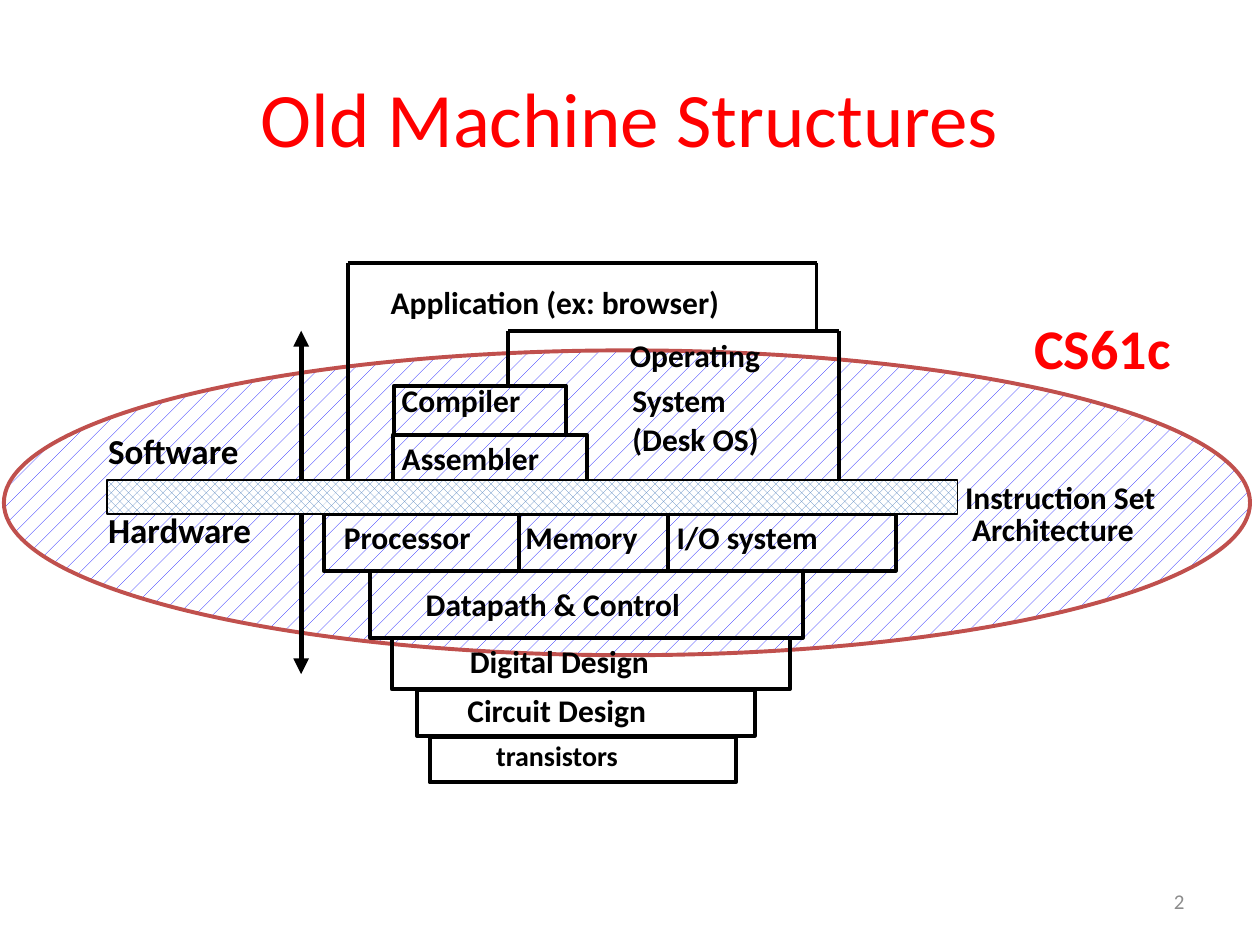
from dataclasses import dataclass

from lxml.etree import SubElement
from pptx import Presentation
from pptx.dml.color import RGBColor
from pptx.enum.dml import MSO_PATTERN as Pattern
from pptx.enum.shapes import MSO_CONNECTOR as Connector, MSO_SHAPE as Shape
from pptx.enum.text import MSO_ANCHOR as Anchor, MSO_AUTO_SIZE as AutoSize, PP_ALIGN as Align
from pptx.oxml.ns import qn
from pptx.util import Pt


@dataclass(frozen=True)
class Theme:
    font: str = "Calibri"
    black: RGBColor = RGBColor(0, 0, 0)
    white: RGBColor = RGBColor(255, 255, 255)
    red: RGBColor = RGBColor(255, 0, 0)
    gray: RGBColor = RGBColor(0x8C, 0x8C, 0x8C)
    blue: RGBColor = RGBColor(0, 0, 255)
    steel: RGBColor = RGBColor(0x4F, 0x81, 0xBD)
    brick: RGBColor = RGBColor(0xC0, 0x50, 0x4D)
    title: int = 44
    course: int = 32
    side: int = 20
    label: int = 18
    small: int = 16
    number: int = 12
    line: float = 2.25
    arrow: float = 3


THEME = Theme()
WIDE_INSET = (7.2, 3.6)
TIGHT_INSET = (5, 2)

# Levels where the layers of the machine meet, in points
APP_TOP, OS_TOP = 150.5, 189
ISA_TOP, ISA_BOTTOM = 274.3, 293.8
UNITS_BOTTOM = 326.2
ARROW_X, ARROW_END = 172.1, 385.2

# Layer boxes: left, top, width, height
BOXES = [
    (225.4, 220.3, 97.9, 28.1),             # compiler
    (224.6, 248.4, 110.9, 28.1),            # assembler
    (185, ISA_BOTTOM, 326.9, 32.4),         # processor, memory, I/O
    (211.7, UNITS_BOTTOM, 247, 38.2),       # datapath
    (223.9, 364.3, 227.5, 29.5),            # digital design
    (238.3, 394.6, 193, 25.9),              # circuit design
    (245.5, 421.2, 175, 25.9),              # transistors
]

# Open outlines and dividers, each a chain of points
OUTLINES = [
    [(198.7, ISA_TOP), (198.7, APP_TOP), (466.6, APP_TOP), (466.6, OS_TOP)],
    [(290.2, 220.3), (290.2, OS_TOP), (479.5, OS_TOP), (479.5, 280)],
    [(296.6, ISA_BOTTOM), (296.6, UNITS_BOTTOM)],
    [(381.6, ISA_BOTTOM), (381.6, UNITS_BOTTOM)],
]

# Tight layer labels: text, left, top, width, height, line spacing
LABELS = [
    ("Application (ex: browser)", 218.2, 159.1, 246.2, 26, 1.02),
    ("Operating", 355, 189.4, 103.7, 26, 1.02),
    ("System\n(Desk OS)", 356.4, 215.3, 108.7, 48.2, 1.02),
    ("Compiler", 224.6, 215.3, 95.8, 26, 1.02),
    ("Assembler", 224.6, 248.4, 117.4, 26, 1.02),
    ("Processor", 191.5, ISA_BOTTOM, 106.6, 26, 1.02),
    ("Memory", 295.2, ISA_BOTTOM, 85.7, 26, 1.02),
    ("I/O system", 381.6, ISA_BOTTOM, 106.6, 26, 1.02),
    ("Digital Design", 263.5, 364.3, 141.8, 26, 1.02),
    ("Circuit Design", 262.1, 392.4, 144, 26, 1.02),
    ("Instruction Set\nArchitecture", 546.5, ISA_TOP, 148.3, 41.8, 0.85),
]

# Labels with wide insets: text, left, top, width, height, size, colour
WIDE_LABELS = [
    ("CS61c", 583.9, 175.7, 130.3, 46.1, THEME.course, THEME.red),
    ("Software", 54.7, 241.9, 108, 31.7, THEME.side, THEME.black),
    ("Hardware", 54.7, 287.3, 115.2, 31.7, THEME.side, THEME.black),
    ("Datapath & Control", 236.2, 330.5, 199.4, 28.8, THEME.label, THEME.black),
    ("transistors", 276.5, 418.3, 110.9, 26.6, THEME.small, THEME.black),
]


def format_text(text_frame, size, color, bold=False, align=Align.LEFT, spacing=None):
    for paragraph in text_frame.paragraphs:
        paragraph.alignment = align
        if spacing:
            paragraph.line_spacing = spacing
        for run in paragraph.runs:
            run.font.name = THEME.font
            run.font.size = Pt(size)
            run.font.bold = bold
            run.font.color.rgb = color


def add_label(slide, text, bounds, size, color, inset=WIDE_INSET, spacing=None):
    shape = slide.shapes.add_textbox(*map(Pt, bounds))
    text_frame = shape.text_frame
    text_frame.word_wrap = True
    text_frame.auto_size = AutoSize.SHAPE_TO_FIT_TEXT
    text_frame.margin_left = text_frame.margin_right = Pt(inset[0])
    text_frame.margin_top = text_frame.margin_bottom = Pt(inset[1])
    text_frame.text = text
    format_text(text_frame, size, color, bold=True, spacing=spacing)
    return shape


def add_box(slide, bounds, kind=Shape.RECTANGLE, pattern=None, fore=None,
            line_color=THEME.black, line_width=THEME.line):
    shape = slide.shapes.add_shape(kind, *map(Pt, bounds))
    shape.shadow.inherit = False
    if pattern is None:
        shape.fill.background()
    else:
        shape.fill.patterned()
        shape.fill.pattern = pattern
        shape.fill.fore_color.rgb = fore
        shape.fill.back_color.rgb = THEME.white
    shape.line.color.rgb = line_color
    shape.line.width = Pt(line_width)


def add_line(slide, start, end, width=THEME.line, arrow=False):
    connector = slide.shapes.add_connector(Connector.STRAIGHT, *map(Pt, (*start, *end)))
    connector.line.color.rgb = THEME.black
    connector.line.width = Pt(width)
    if arrow:
        SubElement(connector.line._get_or_add_ln(), qn("a:tailEnd"), type="triangle")
    SubElement(connector._element.spPr, qn("a:effectLst"))


def add_title(slide, text):
    title = slide.shapes.title
    title.left, title.top, title.width, title.height = map(Pt, (36, 21.6, 648, 90))
    title.text_frame.text = text
    title.text_frame.vertical_anchor = Anchor.MIDDLE
    format_text(title.text_frame, THEME.title, THEME.red, align=Align.CENTER)


def add_slide_number(slide, number):
    shape = slide.shapes.add_textbox(*map(Pt, (516, 500.4, 168, 28.8)))
    shape.text_frame.text = number
    shape.text_frame.word_wrap = True
    shape.text_frame.vertical_anchor = Anchor.MIDDLE
    format_text(shape.text_frame, THEME.number, THEME.gray, align=Align.RIGHT)


def main():
    presentation = Presentation()
    presentation.slide_width, presentation.slide_height = Pt(720), Pt(540)
    slide = presentation.slides.add_slide(presentation.slide_layouts[5])
    add_title(slide, "Old Machine Structures")
    add_slide_number(slide, "2")

    # Scope of the course
    add_box(slide, (2.2, 200.2, 712.1, 174.2), Shape.OVAL, Pattern.PERCENT_5,
            THEME.blue, THEME.brick)

    # Layers of the machine
    for bounds in BOXES:
        add_box(slide, bounds)
    for points in OUTLINES:
        for start, end in zip(points, points[1:]):
            add_line(slide, start, end)

    # Instruction set bar, with arrows into software and hardware
    add_box(slide, (61.2, ISA_TOP, 486, ISA_BOTTOM - ISA_TOP), pattern=Pattern.PERCENT_50,
            fore=THEME.steel, line_width=1)
    for start, end in ((ISA_TOP, OS_TOP), (ISA_BOTTOM, ARROW_END)):
        add_line(slide, (ARROW_X, start), (ARROW_X, end), THEME.arrow, arrow=True)

    # Labels; the last tight one has an indented second line
    for text, *bounds, spacing in LABELS:
        label = add_label(slide, text, bounds, THEME.label, THEME.black, TIGHT_INSET, spacing)
    label.text_frame.paragraphs[1]._p.get_or_add_pPr().set("marL", str(Pt(4)))
    for text, *bounds, size, color in WIDE_LABELS:
        add_label(slide, text, bounds, size, color)

    presentation.save("out.pptx")


if __name__ == "__main__":
    main()
